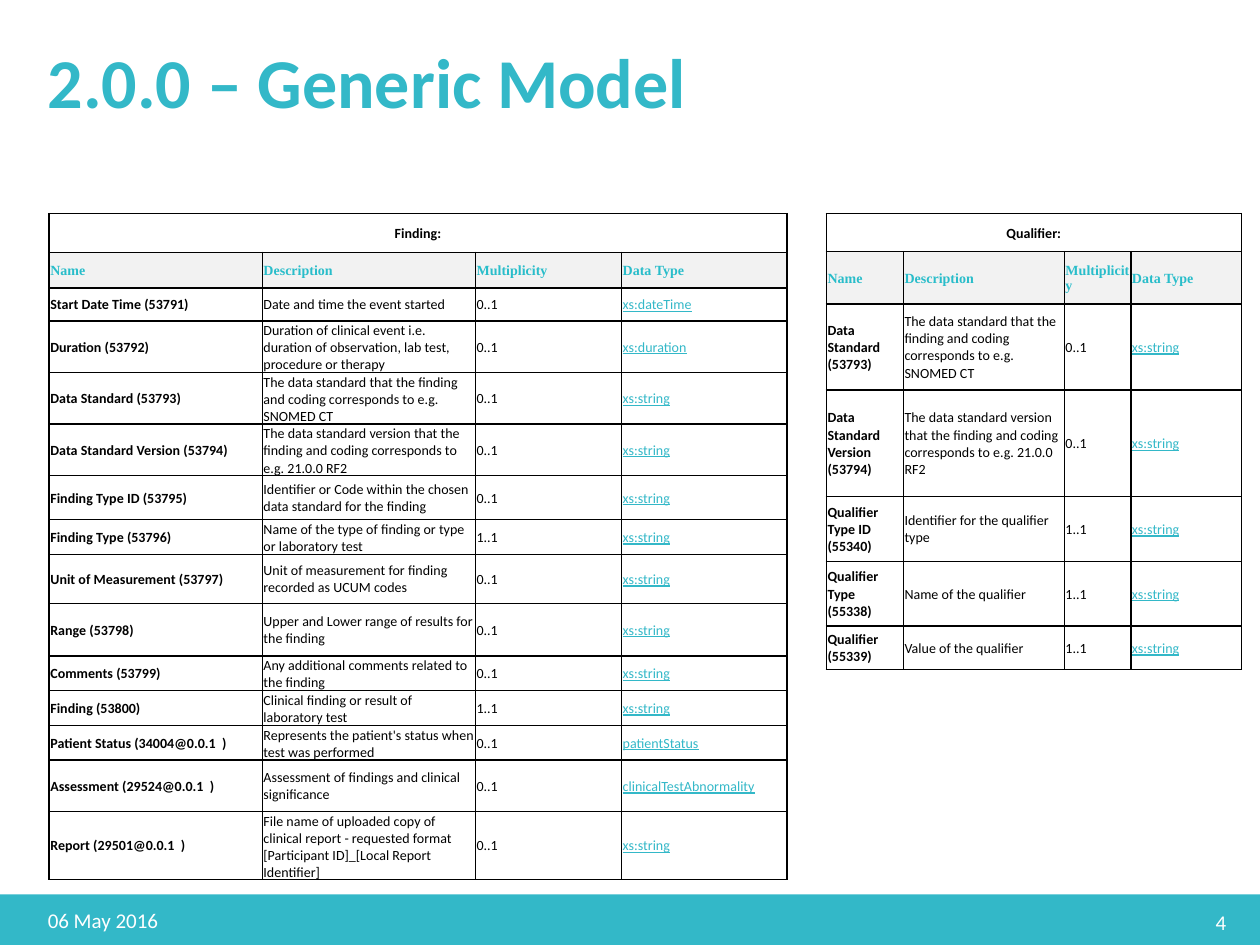
from lxml import etree
from pptx import Presentation
from pptx.dml.color import RGBColor
from pptx.enum.shapes import MSO_SHAPE
from pptx.enum.text import MSO_ANCHOR, PP_ALIGN
from pptx.oxml.ns import qn
from pptx.util import Pt

RECTANGLE = MSO_SHAPE.RECTANGLE
TOP, MIDDLE = MSO_ANCHOR.TOP, MSO_ANCHOR.MIDDLE
LEFT, CENTER, RIGHT = PP_ALIGN.LEFT, PP_ALIGN.CENTER, PP_ALIGN.RIGHT

TEAL, HEADER_TEAL = "33B8C8", "29BDCA"
BLACK, WHITE, LIGHT_GREY = "000000", "FFFFFF", "F2F2F2"

TITLE = {"size": Pt(40), "name": "Calibri", "bold": True}
FOOTER = {"size": Pt(12), "name": "Calibri", "bold": False}
STRONG = {"size": Pt(8), "name": "Calibri", "bold": True}
HEADER = {"size": Pt(8), "name": "Times New Roman", "bold": True}
BODY = {"size": Pt(8), "name": "Calibri", "bold": False}
TYPE = {**BODY, "underline": True}

COLUMN_STYLES = [(STRONG, BLACK), (BODY, BLACK), (BODY, BLACK), (TYPE, TEAL)]
COLUMN_NAMES = ["Name", "Description", "Multiplicity", "Data Type"]
CELL_FORMAT = {
    "vertical_anchor": MIDDLE, "margin_left": Pt(0.7), "margin_right": Pt(0.7),
    "margin_top": Pt(0.7), "margin_bottom": Pt(0),
}

STANDARD = "The data standard that the finding and coding corresponds to e.g. SNOMED CT"
VERSION = ("The data standard version that the finding and coding "
           "corresponds to e.g. 21.0.0 RF2")
SHARED_ROWS = [
    ("Data Standard (53793)", STANDARD, "0..1", "xs:string"),
    ("Data Standard Version (53794)", VERSION, "0..1", "xs:string"),
]
FINDING_ROWS = [
    ("Start Date Time (53791)", "Date and time the event started",
     "0..1", "xs:dateTime"),
    ("Duration (53792)", "Duration of clinical event i.e. duration of observation, "
     "lab test, procedure or therapy", "0..1", "xs:duration"),
    *SHARED_ROWS,
    ("Finding Type ID (53795)", "Identifier or Code within the chosen data standard "
     "for the finding", "0..1", "xs:string"),
    ("Finding Type (53796)", "Name of the type of finding or type or laboratory test",
     "1..1", "xs:string"),
    ("Unit of Measurement (53797)", "Unit of measurement for finding recorded as "
     "UCUM codes", "0..1", "xs:string"),
    ("Range (53798)", "Upper and Lower range of results for the finding",
     "0..1", "xs:string"),
    ("Comments (53799)", "Any additional comments related to the finding",
     "0..1", "xs:string"),
    ("Finding (53800)", "Clinical finding or result of laboratory test",
     "1..1", "xs:string"),
    ("Patient Status (34004@0.0.1  )", "Represents the patient's status when test "
     "was performed", "0..1", "patientStatus"),
    ("Assessment (29524@0.0.1  )", "Assessment of findings and clinical significance",
     "0..1", "clinicalTestAbnormality"),
    ("Report (29501@0.0.1  )", "File name of uploaded copy of clinical report - "
     "requested format [Participant ID]_[Local Report Identifier]",
     "0..1", "xs:string"),
]
QUALIFIER_ROWS = [
    *SHARED_ROWS,
    ("Qualifier Type ID (55340)", "Identifier for the qualifier type",
     "1..1", "xs:string"),
    ("Qualifier Type (55338)", "Name of the qualifier", "1..1", "xs:string"),
    ("Qualifier (55339)", "Value of the qualifier", "1..1", "xs:string"),
]
FINDING_WIDTHS = [121.8, 121.8, 83.5, 94.5]
FINDING_HEIGHTS = [22.2, 20.4, 18.8, 28, 26, 28, 25.2, 18.8, 28, 30, 18.8, 18.8,
                   19.5, 29.3, 34]
QUALIFIER_WIDTHS = [44, 92, 38, 63.2]
QUALIFIER_HEIGHTS = [21.8, 29.8, 49.2, 61, 37, 37, 25]


def color(value):
    """Turn a hex string into a colour."""
    return RGBColor.from_string(value)


def apply_format(target, values):
    """Set every attribute named in a dict of format values."""
    for name, value in values.items():
        setattr(target, name, value)


def write_text(text_frame, text, style, text_color, alignment=LEFT):
    """Write one styled paragraph and return it."""
    paragraph = text_frame.paragraphs[0]
    paragraph.alignment = alignment
    run = paragraph.add_run()
    run.text = text
    apply_format(run.font, style)
    run.font.color.rgb = color(text_color)
    return paragraph


def add_text(slide, box, text, style, text_color, anchor=MIDDLE, alignment=LEFT):
    """Add a wrapping text box and return its paragraph."""
    text_frame = slide.shapes.add_textbox(*map(Pt, box)).text_frame
    apply_format(text_frame, {"word_wrap": True, "vertical_anchor": anchor})
    return write_text(text_frame, text, style, text_color, alignment)


def add_footer_band(slide):
    """Add the coloured band along the bottom edge."""
    shape = slide.shapes.add_shape(RECTANGLE, Pt(0), Pt(511), Pt(720), Pt(29))
    shape.shadow.inherit = False
    shape.fill.solid()
    shape.fill.fore_color.rgb = color(TEAL)
    shape.line.fill.background()


def add_borders(cell):
    """Draw a thin black line on all four sides of a cell."""
    properties = cell._tc.get_or_add_tcPr()
    for index, side in enumerate(("lnL", "lnR", "lnT", "lnB")):
        line = etree.Element(qn("a:" + side), w=str(Pt(1)))
        fill = etree.SubElement(line, qn("a:solidFill"))
        etree.SubElement(fill, qn("a:srgbClr"), val=BLACK)
        properties.insert(index, line)


def fill_cell(cell, text, style, text_color, fill=None, alignment=LEFT):
    """Write and format one table cell."""
    apply_format(cell, CELL_FORMAT)
    write_text(cell.text_frame, text, style, text_color, alignment)
    if fill:
        cell.fill.solid()
        cell.fill.fore_color.rgb = color(fill)


def add_model_table(slide, left, top, caption, rows, widths, heights):
    """Add a table with a merged caption, a header row and attribute rows."""
    table = slide.shapes.add_table(
        len(heights), len(widths), Pt(left), Pt(top),
        Pt(sum(widths)), Pt(sum(heights))).table
    apply_format(table, {"first_row": False, "horz_banding": False})
    for column, width in zip(table.columns, widths):
        column.width = Pt(width)
    for row, height in zip(table.rows, heights):
        row.height = Pt(height)
    for cell in table.iter_cells():
        cell.fill.background()
        add_borders(cell)

    table.cell(0, 0).merge(table.cell(0, len(widths) - 1))
    fill_cell(table.cell(0, 0), caption, STRONG, BLACK, alignment=CENTER)
    for column_index, name in enumerate(COLUMN_NAMES):
        fill_cell(table.cell(1, column_index), name, HEADER, HEADER_TEAL, LIGHT_GREY)
    for row_index, values in enumerate(rows, start=2):
        for column_index, (text, style) in enumerate(zip(values, COLUMN_STYLES)):
            fill_cell(table.cell(row_index, column_index), text, *style)


def main():
    """Build the slide and save it."""
    presentation = Presentation()
    presentation.slide_width, presentation.slide_height = Pt(720), Pt(540)
    slide = presentation.slides.add_slide(presentation.slide_layouts[6])

    add_footer_band(slide)
    title = add_text(slide, (20.2, 23.8, 547, 69), "2.0.0 – Generic Model",
                     TITLE, TEAL, TOP)
    title.line_spacing = 0.9
    add_text(slide, (545.8, 512.6, 162, 29), "4", FOOTER, WHITE, alignment=RIGHT)
    add_text(slide, (20.2, 511.2, 162, 29), "06 May 2016", FOOTER, WHITE)
    add_model_table(slide, 28.1, 122, "Finding:", FINDING_ROWS,
                    FINDING_WIDTHS, FINDING_HEIGHTS)
    add_model_table(slide, 472.2, 122, "Qualifier:", QUALIFIER_ROWS,
                    QUALIFIER_WIDTHS, QUALIFIER_HEIGHTS)

    presentation.save("out.pptx")


main()
